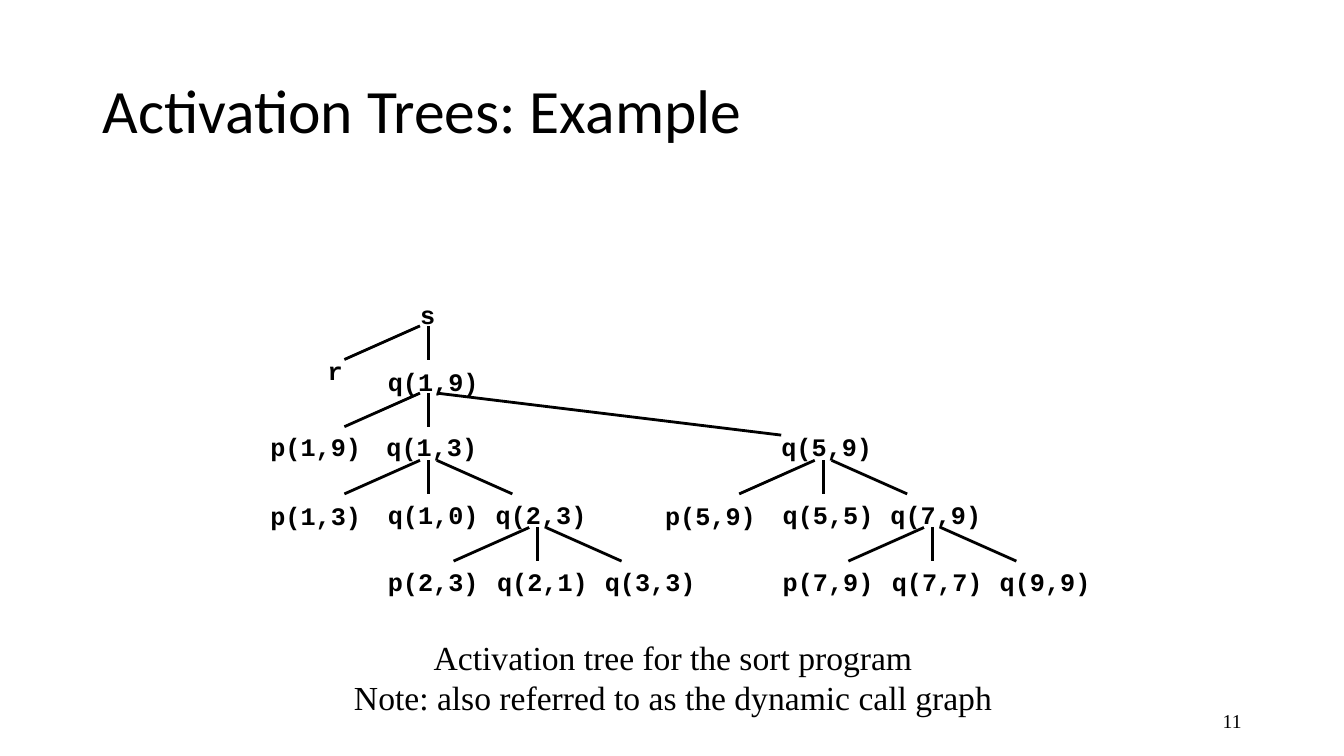
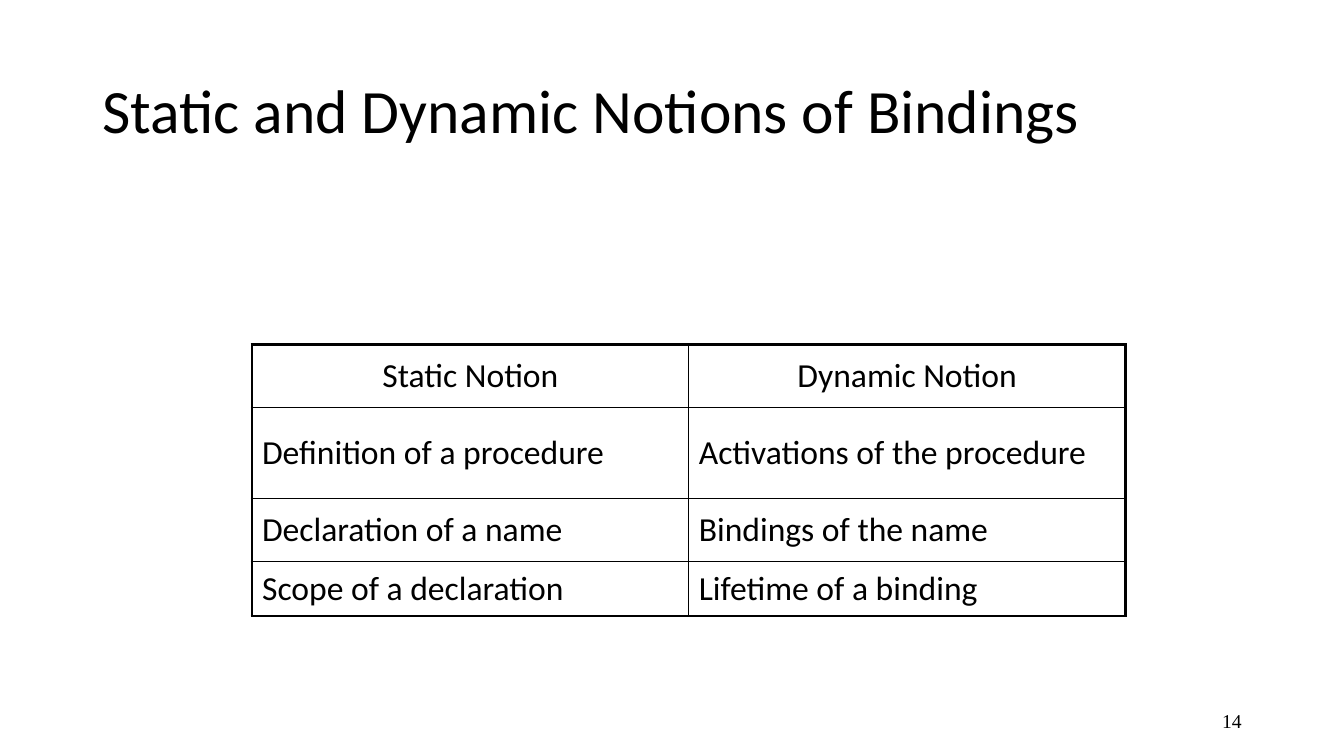
from dataclasses import dataclass

import lxml.etree
import pptx
import pptx.dml.color
import pptx.enum.shapes
import pptx.enum.text
import pptx.oxml.ns
import pptx.util

Pt = pptx.util.Pt
Align = pptx.enum.text.PP_ALIGN
Anchor = pptx.enum.text.MSO_ANCHOR
qn = pptx.oxml.ns.qn


@dataclass(frozen=True)
class Theme:
    ink: str = "000000"
    heading_face: str = "Calibri"
    code_face: str = "Courier New"
    note_face: str = "Times New Roman"
    title_size: float = 44
    body_size: float = 24
    node_size: float = 18
    number_size: float = 14
    branch_width: float = 2
    outer_border: float = 2.25
    inner_border: float = 1


THEME = Theme()
INK = pptx.dml.color.RGBColor.from_string(THEME.ink)

LABEL_TOPS = (210, 258, 304.5, 353, 401)
TRUNK = 306
SUBTREE_SHIFT = 282
SUBTREE_STEP = 78

LEFT_SUBTREE = ("q(1,3)", "p(1,3)", "q(1,0)", "q(2,3)",
                "p(2,3)", "q(2,1)", "q(3,3)")
RIGHT_SUBTREE = ("q(5,9)", "p(5,9)", "q(5,5)", "q(7,9)",
                 "p(7,9)", "q(7,7)", "q(9,9)")

NOTIONS = (
    ("Static Notion", "Dynamic Notion"),
    ("Definition of a procedure", "Activations of the procedure"),
    ("Declaration of a name", "Bindings of the name"),
    ("Scope of a declaration", "Lifetime of a binding"),
)
ROW_HEIGHTS = (45, 65, 45, 39)
COLUMN_WIDTH = 312


def style(para, face, size, align=Align.LEFT, bold=False):
    para.alignment = align
    para.font.name = face
    para.font.size = Pt(size)
    para.font.bold = bold
    para.font.color.rgb = INK


def add_text(page, text, left, top, width, height, face, size,
             align=Align.LEFT, bold=False, wrap=False, anchor=Anchor.TOP):
    box = page.shapes.add_textbox(Pt(left), Pt(top), Pt(width), Pt(height))
    frame = box.text_frame
    frame.word_wrap = wrap
    frame.vertical_anchor = anchor
    frame.text = text
    para = frame.paragraphs[0]
    para.text = text
    style(para, face, size, align, bold)


def add_page(deck, title, number):
    page = deck.slides.add_slide(deck.slide_layouts[5])
    heading = page.shapes.title
    heading.left, heading.top = Pt(66), Pt(28.75)
    heading.width, heading.height = Pt(828), Pt(104.4)
    heading.text_frame.vertical_anchor = Anchor.MIDDLE
    heading.text_frame.text = title
    para = heading.text_frame.paragraphs[0]
    para.line_spacing = 0.9
    style(para, THEME.heading_face, THEME.title_size)
    add_text(page, str(number), 678, 500.5, 216, 28.75, THEME.note_face,
             THEME.number_size, Align.RIGHT, wrap=True, anchor=Anchor.MIDDLE)
    return page


def add_node(page, label, left, top):
    width = 14.4 + 10.8 * len(label)
    add_text(page, label, left, top, width, 29, THEME.code_face,
             THEME.node_size, bold=True)


def add_branch(page, x1, y1, x2, y2):
    branch = page.shapes.add_connector(
        pptx.enum.shapes.MSO_CONNECTOR.STRAIGHT, Pt(x1), Pt(y1), Pt(x2), Pt(y2))
    branch.line.color.rgb = INK
    branch.line.width = Pt(THEME.branch_width)
    properties = branch._element.spPr
    lxml.etree.SubElement(properties, qn("a:effectLst"))


def add_fan(page, x, level, sides=(-1, 0, 1)):
    top = 232.8 + 48 * level
    for side in sides:
        add_branch(page, x + 6 * side, top, x + 60 * side, top + 24)


def add_subtree(page, labels, shift):
    lefts = (269, 186, 270, 347, 270, 348, 425)
    levels = (2, 3, 3, 3, 4, 4, 4)
    for label, left, level in zip(labels, lefts, levels):
        drop = 1 if left == 186 else 0
        add_node(page, label, left + shift, LABEL_TOPS[level] + drop)
    for depth in range(2):
        add_fan(page, TRUNK + shift + SUBTREE_STEP * depth, 2 + depth)


def add_border(cell, side, width):
    properties = cell._tc.get_or_add_tcPr()
    border = lxml.etree.SubElement(properties, qn(f"a:ln{side}"), w=str(Pt(width)))
    fill = lxml.etree.SubElement(border, qn("a:solidFill"))
    lxml.etree.SubElement(fill, qn("a:srgbClr"), val=THEME.ink)


def add_notion_table(page):
    row_count, column_count = len(NOTIONS), len(NOTIONS[0])
    table = page.shapes.add_table(
        row_count, column_count, Pt(180), Pt(246),
        Pt(COLUMN_WIDTH * column_count), Pt(sum(ROW_HEIGHTS))).table
    table.first_row = table.horz_banding = False
    for column in table.columns:
        column.width = Pt(COLUMN_WIDTH)
    for r, texts in enumerate(NOTIONS):
        table.rows[r].height = Pt(ROW_HEIGHTS[r])
        for c, text in enumerate(texts):
            cell = table.cell(r, c)
            edges = {"L": c == 0, "R": c == column_count - 1,
                     "T": r == 0, "B": r == row_count - 1}
            for side, outer in edges.items():
                add_border(cell, side,
                           THEME.outer_border if outer else THEME.inner_border)
            cell.fill.background()
            cell.vertical_anchor = Anchor.MIDDLE
            cell.text = text
            style(cell.text_frame.paragraphs[0], THEME.heading_face,
                  THEME.body_size, Align.CENTER if r == 0 else Align.LEFT)


def add_activation_tree(page):
    add_node(page, "s", 293, LABEL_TOPS[0])
    add_node(page, "r", 227, 250.5)
    add_node(page, "q(1,9)", 270, LABEL_TOPS[1])
    add_node(page, "p(1,9)", 186, LABEL_TOPS[2])
    for level in range(2):
        add_fan(page, TRUNK, level, sides=(-1, 0))
    add_branch(page, TRUNK + 6, 280.8, 558, 310.8)
    add_subtree(page, LEFT_SUBTREE, 0)
    add_subtree(page, RIGHT_SUBTREE, SUBTREE_SHIFT)


def main():
    deck = pptx.Presentation()
    deck.slide_width, deck.slide_height = Pt(960), Pt(540)

    tree_page = add_page(deck, "Activation Trees: Example", 11)
    add_activation_tree(tree_page)
    add_text(tree_page,
             "Activation tree for the sort program\v"
             "Note: also referred to as the dynamic call graph",
             243.5, 451.5, 474.5, 65.5, THEME.note_face, THEME.body_size,
             Align.CENTER)

    table_page = add_page(deck, "Static and Dynamic Notions of Bindings", 14)
    add_notion_table(table_page)

    deck.save("out.pptx")


if __name__ == "__main__":
    main()
